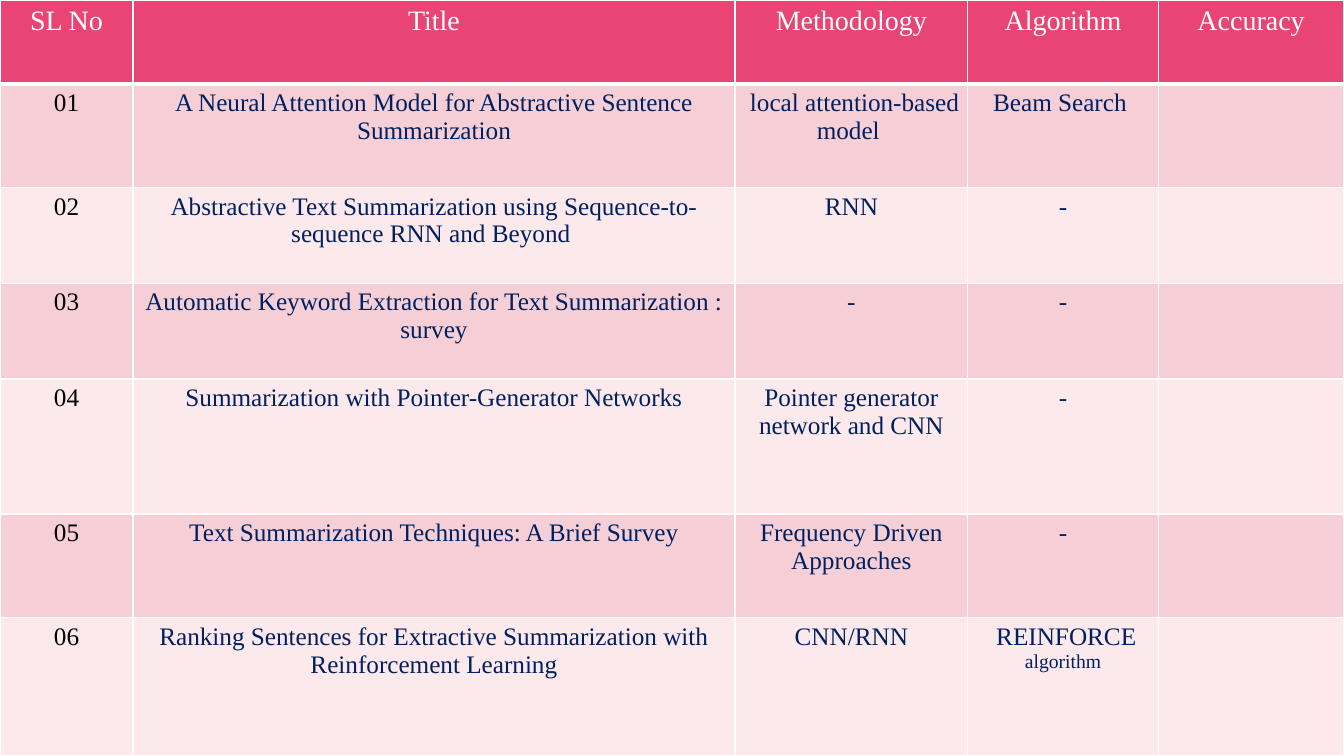
import pptx
import pptx.util
import pptx.dml.color
import pptx.enum.text
import pptx.oxml
import pptx.oxml.ns

PX = 9144  # 100 px to the inch
WIDTH, HEIGHT = 1333, 750

COLUMNS = [132, 597, 231, 189, 184]
ROWS = [83, 103, 95, 95, 134, 103, 137]
HEADER = ["SL No", "Title", "Methodology", "Algorithm", "Accuracy"]
PAPERS = [
    ("A Neural Attention Model for Abstractive Sentence Summarization",
     " local attention-based model ", "Beam Search "),
    ("Abstractive Text Summarization using Sequence-to-sequence RNN and Beyond ",
     "RNN", "-"),
    ("Automatic Keyword Extraction for Text Summarization : survey", "-", "-"),
    ("Summarization with Pointer-Generator Networks",
     "Pointer generator network and CNN", "-"),
    ("Text Summarization Techniques: A Brief Survey",
     "Frequency Driven Approaches", "-"),
    ("Ranking Sentences for Extractive Summarization with Reinforcement Learning",
     "CNN/RNN", [(" REINFORCE ", 18), ("algorithm", 14)]),
]


def px(n):
    return pptx.util.Emu(n * PX)


def rgb(color):
    return pptx.dml.color.RGBColor.from_string(color)


class Deck:
    font = "Times New Roman"
    white, black, navy = "FFFFFF", "000000", "002060"
    header_fill, bands = "E84574", ("F6CFD6", "FBE9EB")
    cell_format = {"margin_left": px(7), "margin_right": px(7),
                   "margin_top": px(5), "margin_bottom": px(5)}

    def __init__(self, prs):
        self.slide = prs.slides.add_slide(prs.slide_layouts[6])
        fill = self.slide.background.fill
        fill.solid()
        fill.fore_color.rgb = rgb(self.black)

    def borders(self, cell, bottom):
        """Draw the four sides of a cell; bottom is that side's width in points."""
        tcPr = cell._tc.get_or_add_tcPr()
        sides = {"lnL": 1, "lnR": 1, "lnT": 1, "lnB": bottom}
        for i, (side, width) in enumerate(sides.items()):
            tcPr.insert(i, pptx.oxml.parse_xml(
                f'<a:{side} {pptx.oxml.ns.nsdecls("a")} w="{pptx.util.Pt(width)}">'
                f'<a:solidFill><a:srgbClr val="{self.white}"/></a:solidFill></a:{side}>'))

    def cell(self, cell, text, size, color, fill, bottom=1):
        """Fill a cell with a string, or with a list of (text, size) runs."""
        for name, value in self.cell_format.items():
            setattr(cell, name, value)
        cell.fill.solid()
        cell.fill.fore_color.rgb = rgb(fill)
        self.borders(cell, bottom)
        p = cell.text_frame.paragraphs[0]
        p.alignment = pptx.enum.text.PP_ALIGN.CENTER
        runs = [(text, size)] if isinstance(text, str) else text
        for run_text, run_size in runs:
            if not run_text:
                continue
            r = p.add_run()
            r.text = run_text
            style = {"name": self.font, "size": pptx.util.Pt(run_size)}
            for name, value in style.items():
                setattr(r.font, name, value)
            r.font.color.rgb = rgb(color)

    def table(self, columns, rows, header, papers):
        table = self.slide.shapes.add_table(
            len(rows), len(columns), 0, 0, px(sum(columns)), px(sum(rows))).table
        for column, width in zip(table.columns, columns):
            column.width = px(width)
        for row, height in zip(table.rows, rows):
            row.height = px(height)
        for c, text in enumerate(header):
            self.cell(table.cell(0, c), text, 20, self.white, self.header_fill, bottom=3)
        for n, paper in enumerate(papers, 1):
            for c, text in enumerate((f"{n:02}", *paper, "")):
                color = self.navy if c else self.black
                self.cell(table.cell(n, c), text, 18, color, self.bands[(n - 1) % 2])


def main():
    prs = pptx.Presentation()
    prs.slide_width, prs.slide_height = px(WIDTH), px(HEIGHT)
    Deck(prs).table(COLUMNS, ROWS, HEADER, PAPERS)
    prs.save("out.pptx")


if __name__ == "__main__":
    main()
